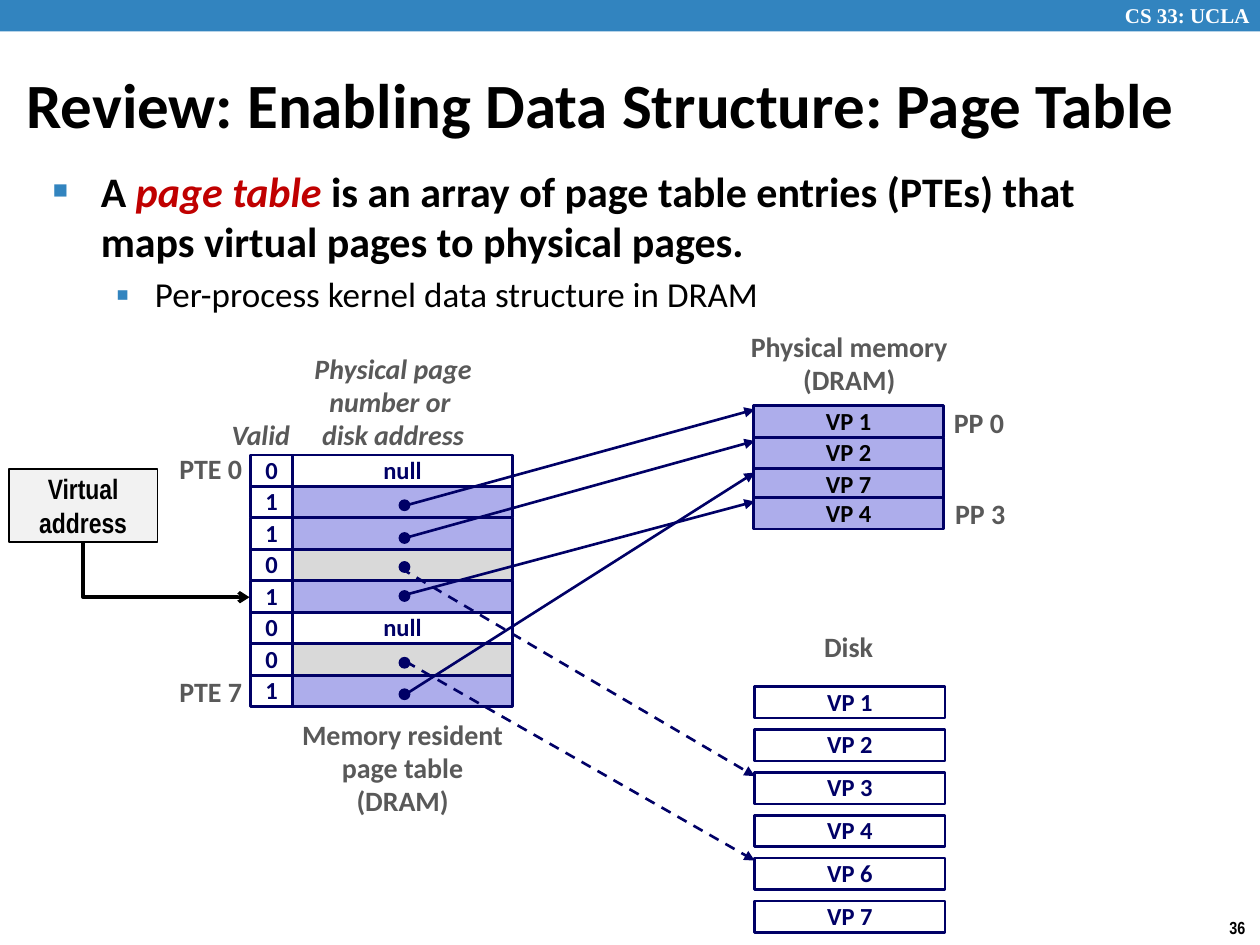
from lxml import etree
from pptx import Presentation
from pptx.dml.color import RGBColor
from pptx.enum import dml, shapes, text
from pptx.oxml import ns
from pptx.util import Inches, Pt

COLORS = {
    "band": "3284BF", "white": "FFFFFF", "black": "000000", "navy": "000066",
    "cached": "ADADEB", "uncached": "D9D9D9", "label": "595959",
    "address": "F2F2F2", "term": "C00000",
}
RGB = {name: RGBColor.from_string(value) for name, value in COLORS.items()}
CENTER, LEFT, RIGHT = text.PP_ALIGN.CENTER, text.PP_ALIGN.LEFT, text.PP_ALIGN.RIGHT
TOP, MIDDLE = text.MSO_ANCHOR.TOP, text.MSO_ANCHOR.MIDDLE
RECT, OVAL = shapes.MSO_SHAPE.RECTANGLE, shapes.MSO_SHAPE.OVAL

prs = Presentation()
prs.slide_width, prs.slide_height = Inches(10), Inches(7.5)
slide = prs.slides.add_slide(prs.slide_layouts[1])


def block(bounds, words="", color="navy", size=14, fill=None, line=None, weight=1.5,
          kind=RECT, font="Calibri", italic=False, align=CENTER, anchor=MIDDLE,
          wrap=False, spacing=0.98):
    """Add a shape when it has a fill or line, else a text box, with styled text."""
    frame = [Inches(value) for value in bounds]
    if fill or line:
        item = slide.shapes.add_shape(kind, *frame)
        item.shadow.inherit = False
        if fill:
            item.fill.solid()
            item.fill.fore_color.rgb = RGB[fill]
        else:
            item.fill.background()
        if line:
            item.line.color.rgb = RGB[line]
            item.line.width = Pt(weight)
        else:
            item.line.fill.background()
    else:
        item = slide.shapes.add_textbox(*frame)
    if words:
        body = item.text_frame
        body.text = words
        body.word_wrap = wrap
        body.vertical_anchor = anchor
        for paragraph in body.paragraphs:
            paragraph.alignment = align
            paragraph.line_spacing = spacing
            for run in paragraph.runs:
                run.font.name, run.font.size = font, Pt(size)
                run.font.bold, run.font.italic = True, italic
                run.font.color.rgb = RGB[color]


def arrow(start, end, color="navy", weight=1.5, dashed=False, head="triangle",
          kind=shapes.MSO_CONNECTOR.STRAIGHT):
    link = slide.shapes.add_connector(kind, *[Inches(v) for v in (*start, *end)])
    link.line.color.rgb = RGB[color]
    link.line.width = Pt(weight)
    if dashed:
        link.line.dash_style = dml.MSO_LINE.DASH
    properties = link._element.spPr
    outline = properties.find(ns.qn("a:ln"))
    etree.SubElement(outline, ns.qn("a:tailEnd"), type=head)
    etree.SubElement(properties, ns.qn("a:effectLst"))
    return link


# Header band and slide number
block((0, 0, 10, 0.25), fill="band")
block((8.83, -0.03, 1.24, 0.3), "CS 33: UCLA", "white", 12, font="Times New Roman",
      align=LEFT, anchor=TOP, wrap=True, spacing=1)
block((9.66, 7.23, 0.34, 0.27), "36", "black", 10, font="Arial Narrow",
      align=LEFT, anchor=TOP, spacing=1)

# Title and bullets
title, bullets = slide.shapes.title, slide.placeholders[1]
for holder, bounds in ((title, (0.11, 0.39, 9.51, 0.86)),
                       (bullets, (0.32, 1.26, 9.09, 1.41))):
    holder.left, holder.top, holder.width, holder.height = [Inches(v) for v in bounds]
    holder.text_frame.auto_size = text.MSO_AUTO_SIZE.NONE
    holder.text_frame.word_wrap = True

title.text_frame.text = "Review: Enabling Data Structure: Page Table"
title.text_frame.vertical_anchor = MIDDLE
heading = title.text_frame.paragraphs[0]
heading.alignment = LEFT
heading.font.name, heading.font.size, heading.font.bold = "Calibri", Pt(36), True
heading.font.color.rgb = RGB["black"]

definition = bullets.text_frame.paragraphs[0]
for words in ("A ", "page table ", "is an array of page table entries (PTEs) that "
              "maps virtual pages to physical pages."):
    definition.add_run().text = words
definition.space_before = Pt(0)
detail = bullets.text_frame.add_paragraph()
detail.text = "Per-process kernel data structure in DRAM"
detail.level = 1
for paragraph, size, bold, margin, hanging, mark, percent in (
        (definition, 24, True, 0.38, 0.38, "■", 60),
        (detail, 20, False, 0.81, 0.31, "▪", 110)):
    layout = paragraph._p.get_or_add_pPr()
    layout.set("marL", str(Inches(margin)))
    layout.set("indent", str(-Inches(hanging)))
    bullet_color = etree.SubElement(layout, ns.qn("a:buClr"))
    etree.SubElement(bullet_color, ns.qn("a:srgbClr"), val=COLORS["band"])
    etree.SubElement(layout, ns.qn("a:buSzPct"), val=str(percent * 1000))
    etree.SubElement(layout, ns.qn("a:buChar"), char=mark)
    for run in paragraph.runs:
        run.font.name, run.font.size, run.font.bold = "Calibri", Pt(size), bold
        run.font.color.rgb = RGB["black"]
term = definition.runs[1]
term.font.italic = True
term.font.color.rgb = RGB["term"]

# Page table: valid bit and entry of each row
ROW = 0.25
entries = [("0", "null", "white"), ("1", "", "cached"), ("1", "", "cached"),
           ("0", "", "uncached"), ("1", "", "cached"), ("0", "null", "white"),
           ("0", "", "uncached"), ("1", "", "cached")]
for row, (valid, content, fill) in enumerate(entries):
    top = 3.61 + row * ROW
    block((2.32, top, 1.75, ROW), content, fill=fill, line="navy")
    block((1.99, top, 0.33, ROW), valid, line="navy")

# Physical memory and disk pages
for page, top in (("VP 7", 3.72), ("VP 4", 3.95), ("VP 2", 3.47), ("VP 1", 3.22)):
    block((5.98, top, 1.51, ROW), page, "black", fill="cached", line="navy")
for slot, number in enumerate((1, 2, 3, 4, 6, 7)):
    block((5.99, 5.45 + slot * 0.34, 1.51, ROW), f"VP {number}", fill="white", line="navy")

# Pointers from entries to pages
for dot_top in (3.97, 4.23, 4.46, 4.69, 5.22, 5.47):
    block((3.17, dot_top, 0.08, 0.08), fill="navy", line="navy", weight=1, kind=OVAL)
for start, end, dashed in (
        ((3.19, 4.02), (5.99, 3.25), False), ((3.25, 4.26), (5.99, 3.5), False),
        ((3.18, 4.51), (5.99, 6.16), True), ((3.22, 4.72), (5.99, 3.98), False),
        ((3.22, 5.25), (5.99, 6.83), True), ((3.22, 5.51), (5.99, 3.75), False)):
    arrow(start, end, dashed=dashed)

# Labels
for words, bounds, align, anchor, italic in (
        ("Memory resident\npage table\n(DRAM)", (2.27, 5.66, 1.85, 0.89), CENTER, TOP, False),
        ("Physical memory\n(DRAM)", (5.85, 2.58, 1.78, 0.63), CENTER, TOP, False),
        ("Valid", (1.74, 3.28, 0.75, 0.37), LEFT, TOP, True),
        ("Physical page\nnumber or \ndisk address", (2.39, 2.75, 1.46, 0.89),
         CENTER, MIDDLE, True),
        ("PTE 0", (1.32, 3.54, 0.7, 0.37), RIGHT, MIDDLE, False),
        ("PTE 7", (1.32, 5.31, 0.7, 0.37), RIGHT, MIDDLE, False),
        ("PP 0", (7.47, 3.18, 0.6, 0.37), CENTER, MIDDLE, False),
        ("PP 3", (7.48, 3.9, 0.6, 0.37), CENTER, MIDDLE, False),
        ("Disk", (6.44, 4.96, 0.59, 0.37), CENTER, TOP, False)):
    block(bounds, words, "label", 16, align=align, anchor=anchor, italic=italic)

# Virtual address and its lookup, an elbow with a single bend
block((0.07, 3.72, 1.18, 0.58), "Virtual address", "black", 16, fill="address",
      line="black", weight=1, font="Arial Narrow", wrap=True, spacing=1)
lookup = arrow((1.54, 3.86), (1.1, 5.18), "black", 2, head="arrow",
               kind=shapes.MSO_CONNECTOR.ELBOW)
lookup._element.spPr.find(ns.qn("a:prstGeom")).set("prst", "bentConnector2")
lookup._element.spPr.find(ns.qn("a:xfrm")).set("rot", str(270 * 60000))

prs.save("out.pptx")
